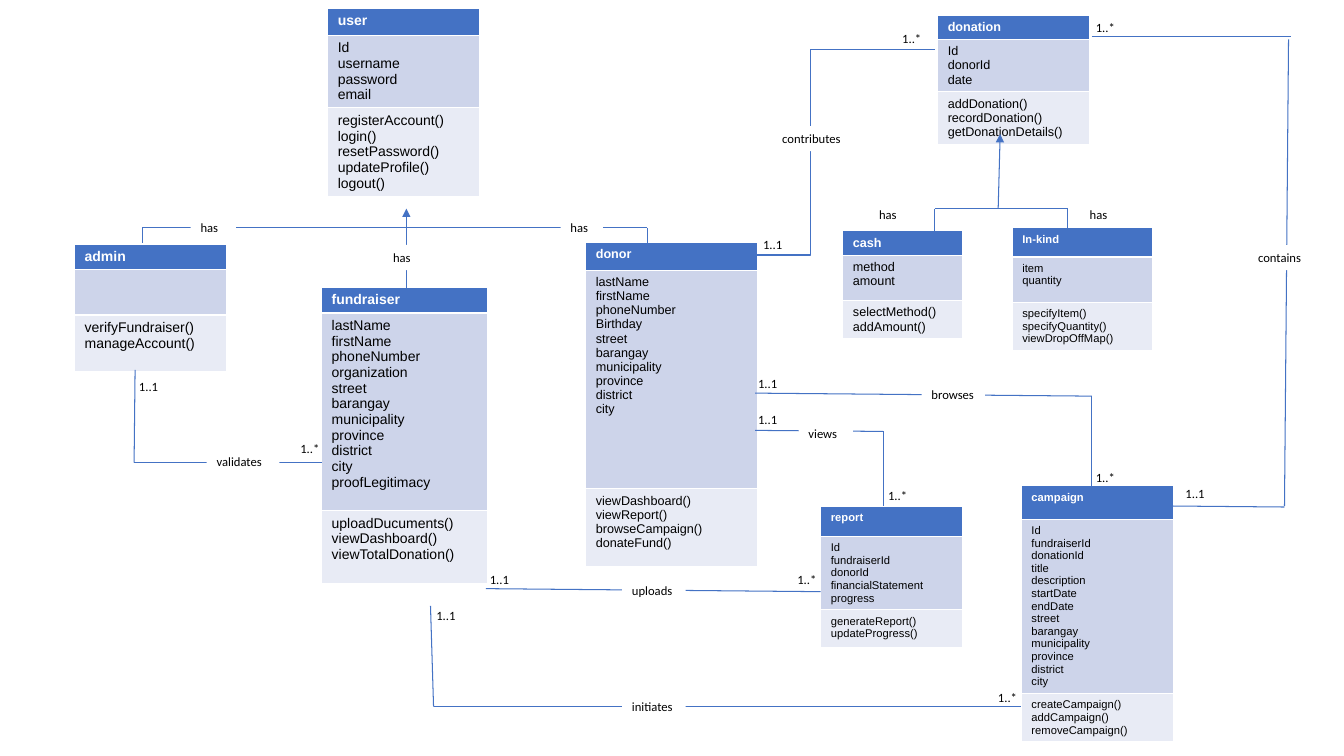
from itertools import pairwise

from lxml import etree
from pptx import Presentation
from pptx.dml.color import RGBColor
from pptx.enum import shapes
from pptx.oxml.ns import qn
from pptx.util import Inches, Pt

BLUE = RGBColor(0x44, 0x72, 0xC4)
MID = RGBColor(0xCD, 0xD4, 0xEA)
PALE = RGBColor(0xE8, 0xEB, 0xF5)
WHITE = RGBColor(0xFF, 0xFF, 0xFF)
BLACK = RGBColor(0, 0, 0)

# left, top, width, row heights, text size, name, fields, methods
CLASSES = [
    (3.25, 0.08, 1.51, (0.27, 0.72, 0.87), 10, "user",
     "Id username password email",
     "registerAccount() login() resetPassword() updateProfile() logout()"),
    (0.74, 2.42, 1.51, (0.25, 0.45, 0.56), 10, "admin",
     "", "verifyFundraiser() manageAccount()"),
    (3.19, 2.85, 1.65, (0.25, 1.96, 0.72), 10, "fundraiser",
     "lastName firstName phoneNumber organization street barangay "
     "municipality province district city proofLegitimacy",
     "uploadDucuments() viewDashboard() viewTotalDonation()"),
    (5.81, 2.4, 1.7, (0.28, 2.17, 0.77), 9, "donor",
     "lastName firstName phoneNumber Birthday street barangay "
     "municipality province district city",
     "viewDashboard() viewReport() browseCampaign() donateFund()"),
    (9.3, 0.15, 1.51, (0.24, 0.52, 0.52), 9, "donation",
     "Id donorId date",
     "addDonation() recordDonation() getDonationDetails()"),
    (8.36, 2.29, 1.19, (0.24, 0.45, 0.37), 9, "cash",
     "method amount", "selectMethod() addAmount()"),
    (10.04, 2.26, 1.39, (0.29, 0.45, 0.47), 8, "In-kind",
     "item quantity", "specifyItem() specifyQuantity() viewDropOffMap()"),
    (8.14, 5.02, 1.41, (0.3, 0.73, 0.37), 8, "report",
     "Id fundraiserId donorId financialStatement progress",
     "generateReport() updateProgress()"),
    (10.13, 4.82, 1.51, (0.33, 1.73, 0.47), 8, "campaign",
     "Id fundraiserId donationId title description startDate endDate "
     "street barangay municipality province district city",
     "createCampaign() addCampaign() removeCampaign()"),
]

ROUTES = [
    [(1.34, 3.67), (1.33, 4.59), (3.19, 4.59)],
    [(9.27, 2.29), (9.27, 2.07), (10.59, 2.07), (10.59, 2.29)],
    [(7.49, 4.27), (8.76, 4.28), (8.76, 5.02)],
    [(7.49, 3.9), (10.83, 3.93), (10.83, 4.84)],
    [(4.27, 6.01), (4.3, 7.01), (10.13, 7.01)],
    [(4.82, 5.84), (8.14, 5.87)],
    [(1.41, 2.41), (1.41, 2.26), (6.42, 2.26), (6.42, 2.46)],
    [(10.83, 0.36), (12.8, 0.36)],
    [(12.78, 0.39), (12.74, 5.02)],
    [(11.6, 5.02), (12.74, 5.03)],
]
ARROWS = [[(9.9, 2.07), (9.92, 1.33)], [(4.03, 2.91), (4.03, 2.07)]]
ELBOW = [(9.27, 0.49), (6.81, 2.53)]

VERBS = [
    ("validates", 2.05, 4.45, 0.72), ("uploads", 6.17, 5.73, 0.63),
    ("initiates", 6.17, 6.88, 0.63), ("contains", 12.38, 2.43, 0.63),
    ("contributes", 7.66, 1.25, 0.89), ("browses", 9.14, 3.79, 0.63),
    ("views", 7.92, 4.18, 0.54), ("has", 5.56, 2.13, 0.42),
    ("has", 3.8, 2.43, 0.45), ("has", 8.62, 2, 0.63),
    ("has", 10.71, 2, 0.63), ("has", 1.89, 2.13, 0.45),
]
COUNTS = {
    "1..1": [(1.28, 3.71), (4.76, 5.62), (7.42, 4.04), (7.42, 3.68),
             (7.47, 2.3), (11.66, 4.77), (4.23, 5.98)],
    "1..*": [(2.88, 4.32), (7.81, 5.62), (8.71, 4.79), (10.77, 4.61),
             (8.85, 0.26), (9.8, 6.79), (10.77, 0.15)],
}


def write(frame, lines, color, **form):
    frame.text = "\n".join(lines)
    for para in frame.paragraphs:
        para.font.color.rgb = color
        for key, value in form.items():
            setattr(para.font, key, value)


def add_class(slide, left, top, width, rows, size, name, fields, methods):
    table = slide.shapes.add_table(
        3, 1, Inches(left), Inches(top), Inches(width),
        Inches(sum(rows))).table
    looks = [(BLUE, WHITE, True), (MID, BLACK, False), (PALE, BLACK, False)]
    parts = [[name], fields.split(), methods.split()]
    for i, (lines, (fill, ink, bold)) in enumerate(zip(parts, looks)):
        table.rows[i].height = Inches(rows[i])
        cell = table.cell(i, 0)
        cell.fill.solid()
        cell.fill.fore_color.rgb = fill
        write(cell.text_frame, lines, ink,
              size=Pt(size), name="Arial", bold=bold)


def add_line(slide, start, end, kind=shapes.MSO_CONNECTOR.STRAIGHT,
             arrow=False):
    line = slide.shapes.add_connector(
        kind, *(Inches(n) for n in (*start, *end)))
    line.line.color.rgb = BLUE
    line.line.width = Pt(0.75)
    if arrow:
        etree.SubElement(line.line._get_or_add_ln(), qn("a:tailEnd"),
                         type="triangle")
    etree.SubElement(line._element.spPr, qn("a:effectLst"))


def add_label(slide, words, left, top, width=0.43, solid=False):
    box = slide.shapes.add_textbox(
        Inches(left), Inches(top), Inches(width), Inches(0.25))
    if solid:
        box.fill.solid()
        box.fill.fore_color.rgb = WHITE
    frame = box.text_frame
    frame.word_wrap = True
    frame.margin_right = Inches(0.05)
    write(frame, [words], BLACK, size=Pt(9), name="Calibri")


def add_links(slide):
    for route in ROUTES:
        for start, end in pairwise(route):
            add_line(slide, start, end)
    for start, end in ARROWS:
        add_line(slide, start, end, arrow=True)
    add_line(slide, *ELBOW, kind=shapes.MSO_CONNECTOR.ELBOW)


def add_labels(slide):
    for verb in VERBS:
        add_label(slide, *verb, solid=True)
    for count, spots in COUNTS.items():
        for left, top in spots:
            add_label(slide, count, left, top)


def main():
    deck = Presentation()
    deck.slide_width, deck.slide_height = Inches(13.33), Inches(7.5)
    slide = deck.slides.add_slide(deck.slide_layouts[6])
    for item in CLASSES:
        add_class(slide, *item)
    add_links(slide)
    add_labels(slide)
    deck.save("out.pptx")


if __name__ == "__main__":
    main()
